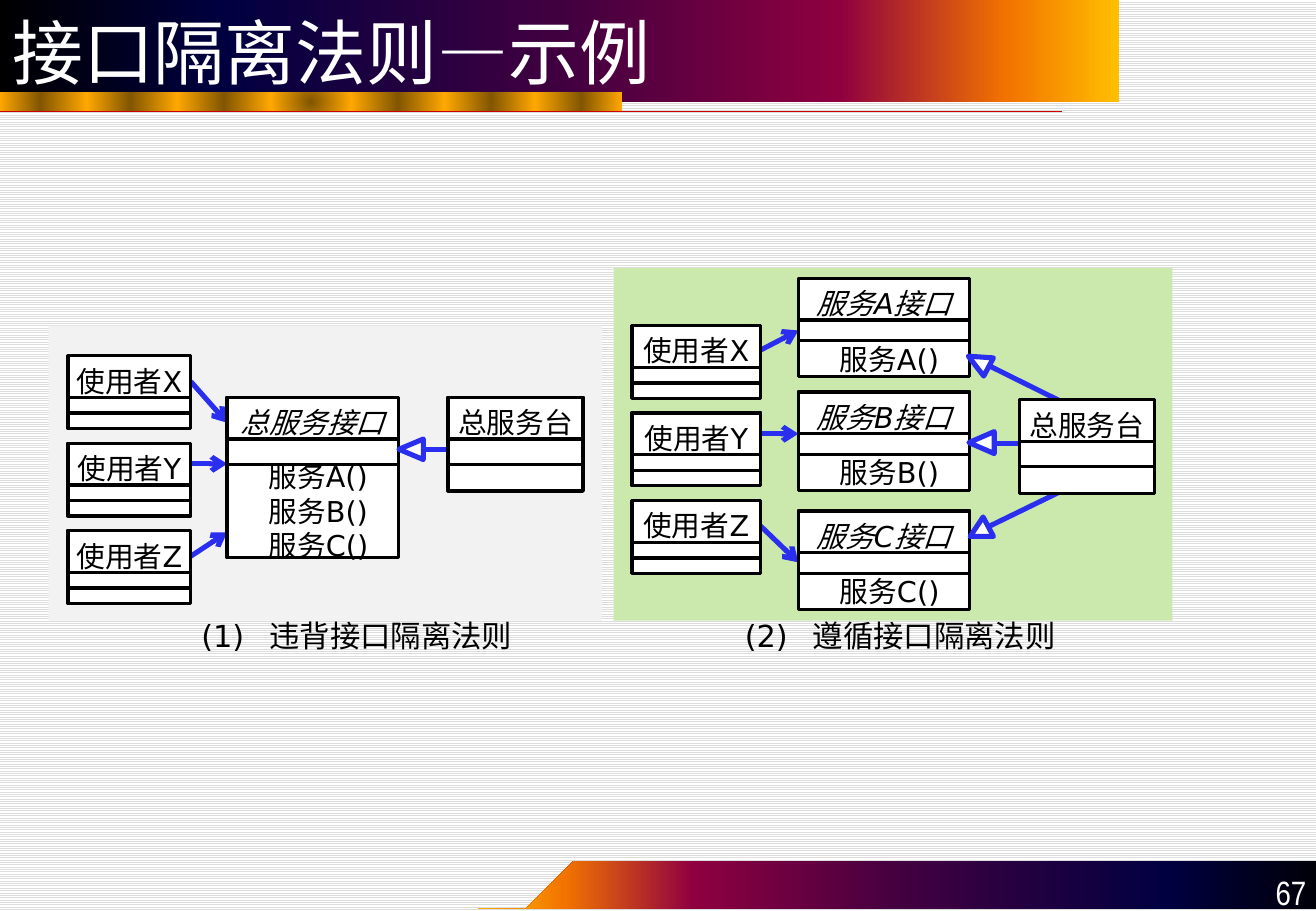
from itertools import groupby

from lxml import etree
from pptx import Presentation
from pptx.dml.color import RGBColor
from pptx.enum.dml import MSO_PATTERN
from pptx.enum.shapes import MSO_CONNECTOR, MSO_SHAPE
from pptx.enum.text import MSO_ANCHOR, MSO_AUTO_SIZE, PP_ALIGN
from pptx.oxml.ns import qn
from pptx.util import Cm, Pt

RECT = MSO_SHAPE.RECTANGLE
TRI = MSO_SHAPE.ISOSCELES_TRIANGLE
STRAIGHT = MSO_CONNECTOR.STRAIGHT
STRIPES = MSO_PATTERN.LIGHT_HORIZONTAL
TOP, MID, LOW = MSO_ANCHOR.TOP, MSO_ANCHOR.MIDDLE, MSO_ANCHOR.BOTTOM
LEFT, MIDDLE, RIGHT = PP_ALIGN.LEFT, PP_ALIGN.CENTER, PP_ALIGN.RIGHT
FIXED = MSO_AUTO_SIZE.NONE

BLACK = RGBColor(0x00, 0x00, 0x00)
WHITE = RGBColor(0xFF, 0xFF, 0xFF)
RULE = RGBColor(0xDD, 0xDD, 0xDD)
BLUE = RGBColor(0x29, 0x2E, 0xEF)
RED = RGBColor(0xCC, 0x00, 0x00)
GREY = RGBColor(0xF2, 0xF2, 0xF2)
GREEN = RGBColor(0xCC, 0xE9, 0xAD)
BROWN = RGBColor(0x82, 0x56, 0x00)
AMBER = RGBColor(0xFF, 0xA8, 0x00)
SUNSET = [
    (0, BLACK), (20, RGBColor(0x00, 0x00, 0x40)),
    (50, RGBColor(0x40, 0x00, 0x40)), (75, RGBColor(0x8F, 0x00, 0x40)),
    (90, RGBColor(0xF2, 0x73, 0x00)), (100, RGBColor(0xFF, 0xBF, 0x00)),
]
GOLD = [(at, (BROWN, AMBER)[i % 2])
        for i, at in enumerate((0, 13, 28, 43, 58, 72, 87, 100))]

LATIN, HAN, NARROW = "DejaVu Sans", "Noto Sans CJK SC", "Arial Narrow"
HEAD, SPLIT = 1.04, 0.87


class Sketch:
    """Draws the styled elements of one slide, with lengths in centimetres."""

    def __init__(self, slide):
        self.slide = slide
        self.shapes = slide.shapes

    def back(self):
        fill = self.slide.background.fill
        fill.patterned()
        fill.pattern = STRIPES
        fill.fore_color.rgb = RULE
        fill.back_color.rgb = WHITE

    def blend(self, shape, stops, angle=0, radial=False):
        shape.fill.gradient()
        shape.fill.gradient_angle = angle
        grad = shape._element.spPr.find(qn("a:gradFill"))
        bank = grad.find(qn("a:gsLst"))
        bank.clear()
        for at, color in stops:
            stop = etree.SubElement(bank, qn("a:gs"), pos=str(at * 1000))
            etree.SubElement(stop, qn("a:srgbClr"), val=str(color))
        if radial:
            ring = etree.Element(qn("a:path"), {"path": "circle"})
            edges = dict.fromkeys("ltrb", "50000")
            etree.SubElement(ring, qn("a:fillToRect"), edges)
            grad.replace(grad.find(qn("a:lin")), ring)

    def title(self, text, x, y, w, h):
        shape = self.shapes.title
        shape.left, shape.top, shape.width, shape.height = map(Cm, (x, y, w, h))
        self.blend(shape, SUNSET)
        frame = shape.text_frame
        frame.text = text
        frame.auto_size = FIXED
        frame.vertical_anchor = MID
        para = frame.paragraphs[0]
        para.alignment = LEFT
        para.font.name = LATIN
        para.font.size = Pt(42)
        para.font.color.rgb = WHITE

    def shape(self, kind, x, y, w, h, fill=WHITE, edge=None, width=2, turn=0):
        shape = self.shapes.add_shape(kind, *map(Cm, (x, y, w, h)))
        shape.shadow.inherit = False
        shape.rotation = turn
        shape.fill.solid()
        shape.fill.fore_color.rgb = fill
        if edge is None:
            shape.line.fill.background()
        else:
            shape.line.color.rgb = edge
            shape.line.width = Pt(width)
        return shape

    def wave(self, points):
        pen = self.shapes.build_freeform(*points[0], scale=Cm(1))
        pen.add_line_segments(points[1:])
        shape = pen.convert_to_shape()
        shape.shadow.inherit = False
        shape.line.fill.background()
        self.blend(shape, SUNSET, 180)

    def line(self, ends, color=BLUE, width=3, arrow=False):
        line = self.shapes.add_connector(STRAIGHT, *map(Cm, ends))
        line.line.color.rgb = color
        line.line.width = Pt(width)
        props = line._element.spPr
        etree.SubElement(props, qn("a:effectLst"))
        if arrow:
            etree.SubElement(props.find(qn("a:ln")), qn("a:tailEnd"), type="arrow")

    def letter(self, shape, lines, size=17, align=LEFT, anchor=MID,
               color=BLACK, latin=LATIN, slant=False, wrap=True, tab=None):
        frame = shape.text_frame
        frame.word_wrap = wrap
        frame.vertical_anchor = anchor
        frame.margin_left = frame.margin_right = Cm(0.1)
        frame.margin_top = frame.margin_bottom = Cm(0.05)
        for i, text in enumerate(lines):
            para = frame.add_paragraph() if i else frame.paragraphs[0]
            para.alignment = align
            if tab:
                tabs = etree.SubElement(para._p.get_or_add_pPr(), qn("a:tabLst"))
                etree.SubElement(tabs, qn("a:tab"), pos=str(Cm(tab)), algn="l")
            para.font.size = Pt(size)
            para.font.italic = slant
            para.font.color.rgb = color
            for plain, part in groupby(text, str.isascii):
                run = para.add_run()
                run.text = "".join(part)
                run.font.name = latin if plain else HAN
                if not plain:
                    etree.SubElement(run._r.rPr, qn("a:ea"), typeface=HAN)

    def text(self, x, y, w, h, lines, **style):
        box = self.shapes.add_textbox(*map(Cm, (x, y, w, h)))
        self.letter(box, lines, **style)

    def unit(self, x, y, w, h, strip, name, calls=(), slant=False):
        self.shape(RECT, x, y, w, h, edge=BLACK)
        head = self.shape(RECT, x, y, w, HEAD, edge=BLACK)
        self.letter(head, [name], align=MIDDLE, slant=slant, wrap=False)
        self.shape(RECT, x, y + SPLIT, w, strip, edge=BLACK)
        if calls:
            used = SPLIT + strip
            self.text(x + 0.76, y + used, w - 0.94, h - used, calls)

    def users(self, x, y, w):
        for i, mark in enumerate("XYZ"):
            self.unit(x, y + 1.83 * i, w, 1.52, 0.33, "使用者" + mark)

    def desk(self, x, y):
        self.unit(x, y, 2.82, 1.96, 0.53, "总服务台")

    def tip(self, x, y, w, h, turn):
        self.shape(TRI, x, y, w, h, edge=BLUE, width=3, turn=turn)

    def label(self, x, text):
        self.text(x, 12.85, 7.1, 0.86, [text], size=18, anchor=TOP, tab=1.42)


def curve(a, b, c, d, count=16):
    steps = [i / count for i in range(count + 1)]
    return [tuple((1 - t) ** 3 * p + 3 * t * (1 - t) ** 2 * q
                  + 3 * t * t * (1 - t) * r + t ** 3 * s
                  for p, q, r, s in zip(a, b, c, d)) for t in steps]


def main():
    deck = Presentation()
    deck.slide_width, deck.slide_height = Cm(27.51), Cm(19.05)
    art = Sketch(deck.slides.add_slide(deck.slide_layouts[5]))
    art.back()
    edge = curve((10.08, 19.05), (10.08, 18.75), (12.37, 18.42), (11.81, 18.14))
    art.wave(edge + [(27.51, 18.14), (27.51, 19.05), (10.08, 19.05)])
    band = art.shape(RECT, 0, 1.93, 13, 0.41)
    art.blend(band, GOLD, radial=True)
    art.line((0, 2.33, 22.2, 2.33), RED, 0.75)
    art.title("接口隔离法则—示例", 0, 0, 23.39, 2.13)
    art.text(24.97, 18.11, 2.44, 1.02, ["67"], size=20, align=RIGHT,
             anchor=LOW, color=WHITE, latin=NARROW)

    art.shape(RECT, 1.02, 6.81, 11.56, 6.17, GREY)
    art.shape(RECT, 12.83, 5.61, 11.68, 7.37, GREEN)
    for ends in ((3.99, 7.98, 4.75, 8.84), (2.82, 9.7, 4.75, 9.7),
                 (3.99, 11.63, 4.75, 11.13), (15.9, 7.32, 16.69, 6.91),
                 (14.76, 9.07, 16.69, 9.07), (15.9, 11, 16.69, 11.76)):
        art.line(ends, arrow=True)
    for ends in ((8.86, 9.4, 10.26, 9.4), (20.68, 7.65, 23.34, 8.97),
                 (20.78, 9.27, 23.22, 9.27), (20.65, 11.02, 23.09, 9.83)):
        art.line(ends)

    art.users(1.42, 7.44, 2.57)
    calls = [f"服务{mark}()" for mark in "ABC"]
    art.unit(4.75, 8.31, 3.58, 3.35, 0.53, "总服务接口", calls, True)
    art.desk(9.37, 8.31)
    art.label(4.11, "(1)\t违背接口隔离法则")

    art.users(13.21, 6.81, 2.69)
    for mark, call, y in zip("ABC", calls, (5.82, 8.2, 10.69)):
        art.unit(16.69, y, 3.58, 2.06, 0.43, f"服务{mark}接口", [call], True)
    art.desk(21.31, 8.36)
    art.label(15.47, "(2)\t遵循接口隔离法则")

    for tip in ((8.38, 9.14, 0.43, 0.51, 270), (20.24, 7.32, 0.43, 0.48, 298.1),
                (20.29, 8.99, 0.46, 0.53, 270), (20.24, 10.9, 0.46, 0.43, 241.9)):
        art.tip(*tip)
    deck.save("out.pptx")


if __name__ == "__main__":
    main()
